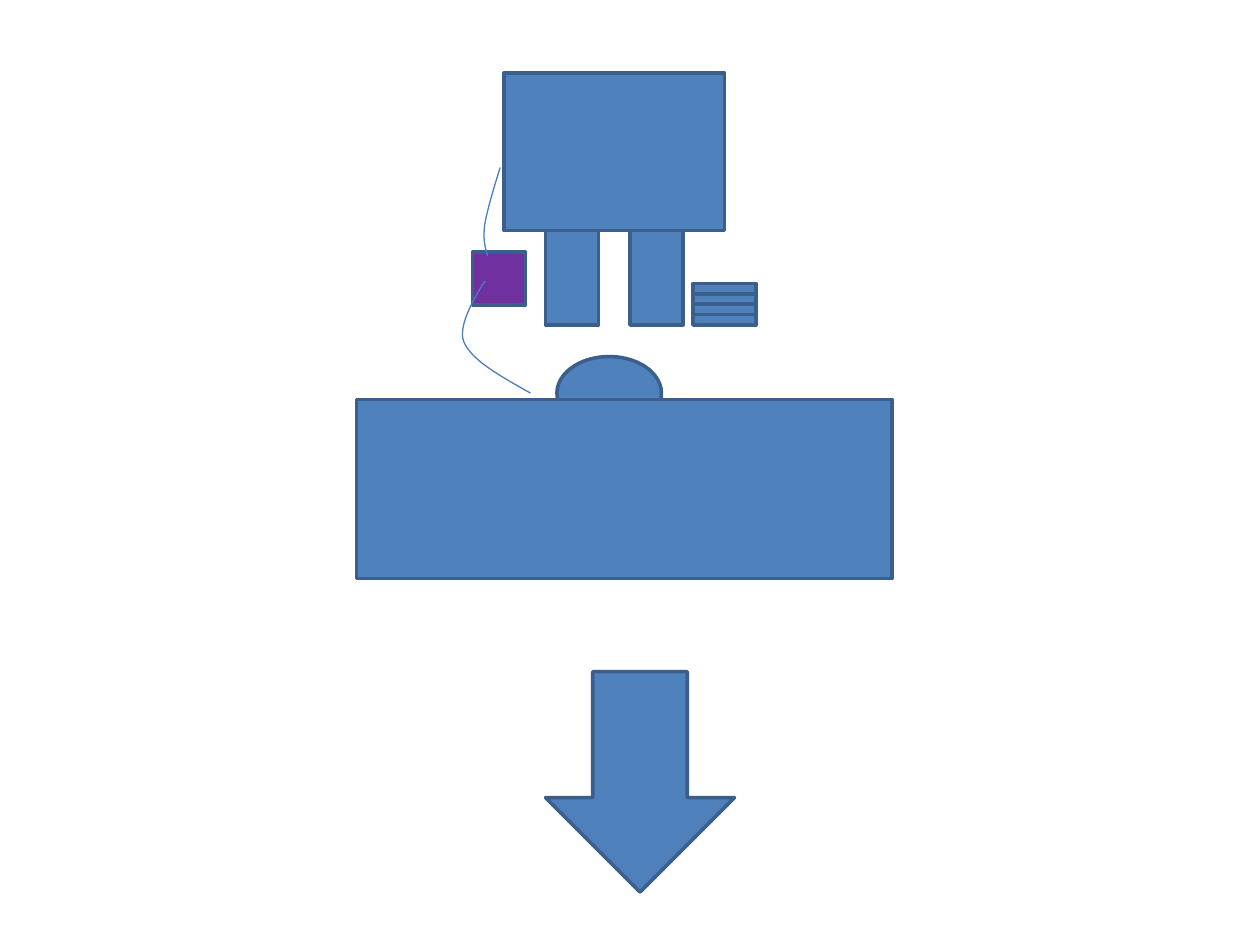
from dataclasses import dataclass

from lxml.etree import SubElement
from pptx import Presentation
from pptx.dml.color import RGBColor
from pptx.enum.shapes import MSO_SHAPE
from pptx.oxml.ns import qn
from pptx.util import Inches, Pt


@dataclass(frozen=True)
class Theme:
    body: RGBColor = RGBColor(0x4F, 0x81, 0xBD)
    outline: RGBColor = RGBColor(0x3A, 0x5F, 0x8C)
    box: RGBColor = RGBColor(0x70, 0x30, 0xA0)
    cable: RGBColor = RGBColor(0x4B, 0x7E, 0xBC)
    outline_width: float = 2
    cable_width: float = 0.75


THEME = Theme()


def add_part(shapes, kind, left, top, width, height, fill=THEME.body):
    shape = shapes.add_shape(kind, Inches(left), Inches(top), Inches(width), Inches(height))
    shape.shadow.inherit = False
    shape.fill.solid()
    shape.fill.fore_color.rgb = fill
    shape.line.color.rgb = THEME.outline
    shape.line.width = Pt(THEME.outline_width)
    return shape


def add_cable(shapes, start, *points):
    """Draw an open cubic curve; every three points make one segment."""
    builder = shapes.build_freeform(Inches(start[0]), Inches(start[1]))
    builder.add_line_segments([(Inches(x), Inches(y)) for x, y in points], close=False)
    shape = builder.convert_to_shape()
    shape.shadow.inherit = False
    shape.fill.background()
    shape.line.color.rgb = THEME.cable
    shape.line.width = Pt(THEME.cable_width)

    # Gather the straight segments by threes into Bezier segments
    outline = next(shape.element.iter(qn("a:path")))
    segments = outline.findall(qn("a:lnTo"))
    for first in range(0, len(segments), 3):
        curve = SubElement(outline, qn("a:cubicBezTo"))
        for segment in segments[first:first + 3]:
            curve.append(segment[0])
            outline.remove(segment)


def add_machine(shapes, left, top, width, height):
    """Body standing on two legs."""
    group = shapes.add_group_shape()
    body_height, leg_width, leg_gap = 1.25, 0.42, 0.25
    for index in range(2):
        leg_left = left + 0.33 + index * (leg_width + leg_gap)
        add_part(group.shapes, MSO_SHAPE.RECTANGLE, leg_left, top + body_height,
                 leg_width, height - body_height)
    add_part(group.shapes, MSO_SHAPE.RECTANGLE, left, top, width, body_height)


def add_stack(shapes, left, top, width, height, count=4):
    """Equal slabs piled on each other."""
    group = shapes.add_group_shape()
    slab_height = height / count
    for index in range(count):
        add_part(group.shapes, MSO_SHAPE.RECTANGLE, left, top + index * slab_height,
                 width, slab_height)


def build_slide(presentation):
    shapes = presentation.slides.add_slide(presentation.slide_layouts[6]).shapes

    # Dome, partly hidden behind the base
    add_part(shapes, MSO_SHAPE.OVAL, 4.42, 2.83, 0.83, 0.58)
    add_machine(shapes, 4, 0.58, 1.75, 2)
    add_part(shapes, MSO_SHAPE.FLOWCHART_PROCESS, 2.83, 3.17, 4.25, 1.42)
    add_part(shapes, MSO_SHAPE.DOWN_ARROW, 4.33, 5.33, 1.5, 1.75)

    # Control box, cabled to the machine and to the base
    add_part(shapes, MSO_SHAPE.RECTANGLE, 3.75, 2, 0.42, 0.42, fill=THEME.box)
    add_cable(shapes, (3.97, 1.33), (3.92, 1.49), (3.87, 1.66), (3.85, 1.77),
              (3.83, 1.89), (3.85, 1.96), (3.87, 2.03))
    add_cable(shapes, (4.21, 3.12), (3.98, 2.99), (3.74, 2.86), (3.68, 2.71),
              (3.62, 2.56), (3.85, 2.23), (3.85, 2.23))

    add_stack(shapes, 5.5, 2.25, 0.5, 0.33)


def main():
    presentation = Presentation()
    presentation.slide_width = Inches(10)
    presentation.slide_height = Inches(7.5)
    build_slide(presentation)
    presentation.save("out.pptx")


if __name__ == "__main__":
    main()
